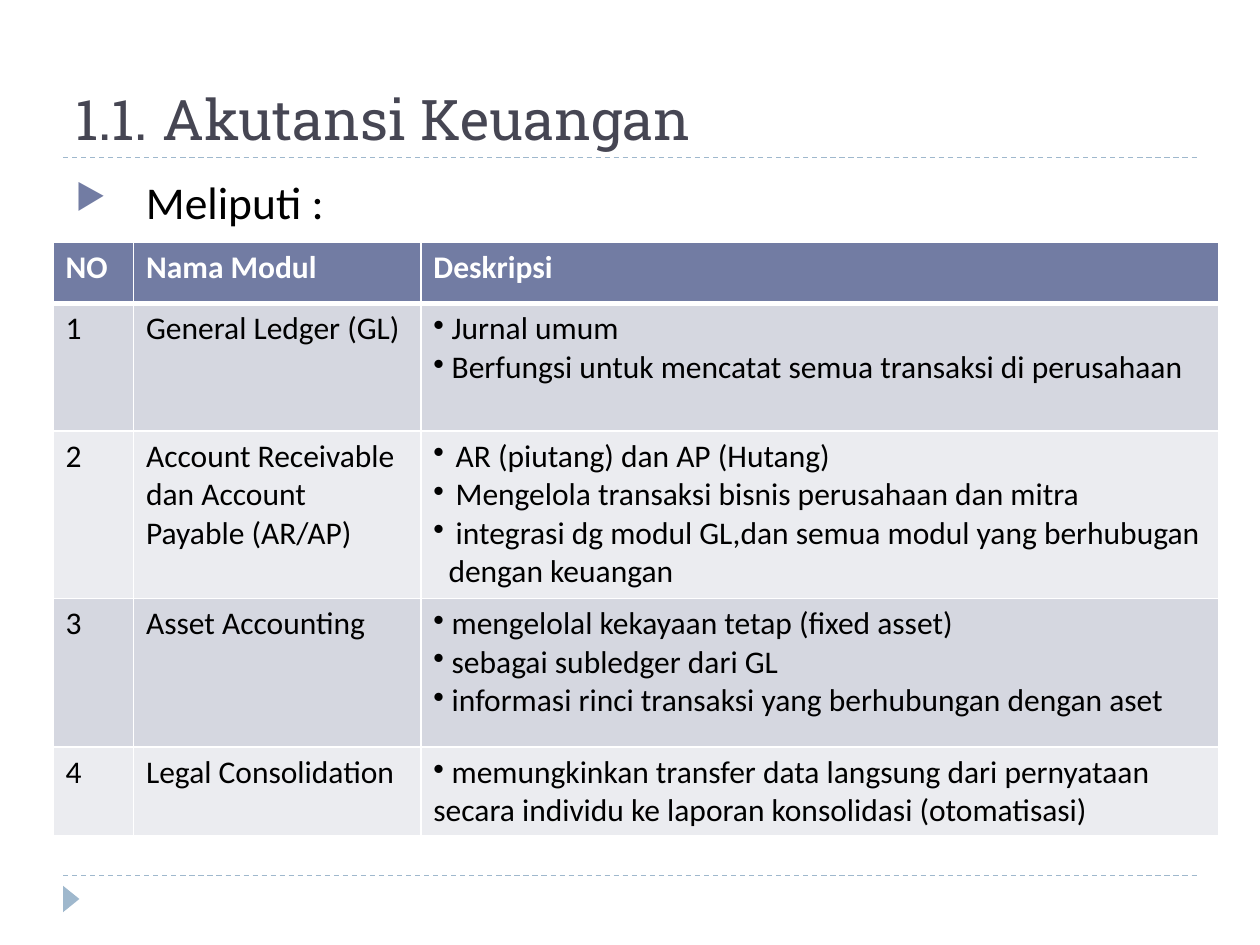
"""Build the slide that lists the modules of financial accounting."""
from dataclasses import dataclass

import lxml.etree
import pptx
import pptx.dml.color
import pptx.enum.dml
import pptx.enum.shapes
import pptx.enum.text
import pptx.oxml.ns
import pptx.util

Inches = pptx.util.Inches
Pt = pptx.util.Pt
RGBColor = pptx.dml.color.RGBColor
qn = pptx.oxml.ns.qn

BLACK = RGBColor(0x00, 0x00, 0x00)
WHITE = RGBColor(0xFF, 0xFF, 0xFF)
SLATE = RGBColor(0x46, 0x46, 0x53)
INDIGO = RGBColor(0x72, 0x7C, 0xA3)
SKY = RGBColor(0x9F, 0xB8, 0xCD)
BAND_FILLS = (RGBColor(0xD5, 0xD7, 0xE0), RGBColor(0xEB, 0xEC, 0xF0))

HEADINGS = ("NO", "Nama Modul", "Deskripsi")
COLUMN_WIDTHS = (0.64, 2.28, 6.33)
HEADING_HEIGHT = 0.49


@dataclass(frozen=True)
class Module:
    name: str
    points: tuple[str, ...]
    height: float
    hanging: float = 0


MODULES = (
    Module("General Ledger (GL)",
           (" Jurnal umum",
            " Berfungsi untuk mencatat semua transaksi di perusahaan"), 1.01),
    Module("Account Receivable dan Account Payable (AR/AP)",
           (" AR (piutang) dan AP (Hutang)",
            " Mengelola transaksi bisnis perusahaan dan mitra",
            " integrasi dg modul GL,dan semua modul yang berhubugan dengan keuangan"),
           1.33, hanging=0.12),
    Module("Asset Accounting",
           (" mengelolal kekayaan tetap (fixed asset)",
            " sebagai subledger dari GL",
            " informasi rinci transaksi yang berhubungan dengan aset"), 1.18),
    Module("Legal Consolidation",
           (" memungkinkan transfer data langsung dari pernyataan secara individu "
            "ke laporan konsolidasi (otomatisasi)",), 0.7),
)


def write(frame, *lines: str, size: float = 18, font: str = "Calibri",
          color: RGBColor = BLACK, bold: bool = False, bullet: str = "",
          bullet_color: RGBColor | None = None, bullet_percent: int = 100,
          hanging: float = 0, before: float = 0) -> None:
    """Fill a text frame with one formatted paragraph per line."""
    frame.word_wrap = True
    for index, line in enumerate(lines):
        paragraph = frame.add_paragraph() if index else frame.paragraphs[0]
        paragraph.space_before = Pt(before)
        run = paragraph.add_run()
        run.text = line
        run.font.size = Pt(size)
        run.font.name = font
        run.font.bold = bold
        run.font.color.rgb = color
        if bullet:
            properties = paragraph._p.get_or_add_pPr()
            properties.set("marL", str(Inches(hanging)))
            properties.set("indent", str(-Inches(hanging)))
            if bullet_color is not None:
                tint = lxml.etree.SubElement(properties, qn("a:buClr"))
                lxml.etree.SubElement(tint, qn("a:srgbClr"), val=str(bullet_color))
            lxml.etree.SubElement(properties, qn("a:buSzPct"), val=str(bullet_percent * 1000))
            lxml.etree.SubElement(properties, qn("a:buChar"), char=bullet)


def add_text(slide, top: float, height: float, line: str,
             anchor=pptx.enum.text.MSO_ANCHOR.TOP, **text_format) -> None:
    """Add a text box that spans the content width."""
    box = slide.shapes.add_textbox(Inches(0.5), Inches(top), Inches(9), Inches(height))
    box.text_frame.vertical_anchor = anchor
    write(box.text_frame, line, **text_format)


def add_rule(slide, top: float) -> None:
    """Draw a dashed rule across the content width."""
    rule = slide.shapes.add_connector(pptx.enum.shapes.MSO_CONNECTOR.STRAIGHT,
                                      Inches(0.5), Inches(top), Inches(9.5), Inches(top))
    rule.line.color.rgb = SKY
    rule.line.width = Pt(0.75)
    rule.line.dash_style = pptx.enum.dml.MSO_LINE.DASH
    lxml.etree.SubElement(rule._element.spPr, qn("a:effectLst"))


def add_corner_marker(slide) -> None:
    """Draw the small triangle at the foot of the slide."""
    marker = slide.shapes.add_shape(pptx.enum.shapes.MSO_SHAPE.ISOSCELES_TRIANGLE,
                                    Inches(0.46), Inches(7.07), Inches(0.21), Inches(0.13))
    marker.rotation = 90
    marker.shadow.inherit = False
    marker.fill.solid()
    marker.fill.fore_color.rgb = SKY
    marker.line.fill.background()


def style_cell(cell, fill: RGBColor, top: float = 1, bottom: float = 1) -> None:
    """Give a cell its fill and white borders."""
    cell.fill.solid()
    cell.fill.fore_color.rgb = fill
    properties = cell._tc.get_or_add_tcPr()
    borders = (("L", 1), ("R", 1), ("T", top), ("B", bottom))
    for position, (side, width) in enumerate(borders):
        border = lxml.etree.Element(qn(f"a:ln{side}"), w=str(Pt(width)))
        paint = lxml.etree.SubElement(border, qn("a:solidFill"))
        lxml.etree.SubElement(paint, qn("a:srgbClr"), val=str(WHITE))
        properties.insert(position, border)


def add_module_table(slide) -> None:
    """Add the table of modules with banded rows."""
    heights = (HEADING_HEIGHT, *(module.height for module in MODULES))
    table = slide.shapes.add_table(len(heights), len(COLUMN_WIDTHS), Inches(0.42), Inches(1.92),
                                   Inches(sum(COLUMN_WIDTHS)), Inches(sum(heights))).table
    for column, width in zip(table.columns, COLUMN_WIDTHS):
        column.width = Inches(width)
    for row, height in zip(table.rows, heights):
        row.height = Inches(height)
    for cell, heading in zip(table.rows[0].cells, HEADINGS):
        style_cell(cell, INDIGO, bottom=3)
        write(cell.text_frame, heading, color=WHITE, bold=True)
    for number, module in enumerate(MODULES, start=1):
        cells = tuple(table.rows[number].cells)
        for cell in cells:
            style_cell(cell, BAND_FILLS[(number - 1) % 2], top=3 if number == 1 else 1)
        number_cell, name_cell, description_cell = cells
        write(number_cell.text_frame, str(number))
        write(name_cell.text_frame, module.name)
        write(description_cell.text_frame, *module.points, bullet="•", hanging=module.hanging)


def main() -> None:
    """Assemble and save the presentation."""
    presentation = pptx.Presentation()
    presentation.slide_width = Inches(10)
    presentation.slide_height = Inches(7.5)
    slide = presentation.slides.add_slide(presentation.slide_layouts[6])
    for top in (6.95, 1.25):
        add_rule(slide, top)
    add_corner_marker(slide)
    add_text(slide, 0.17, 1.08, "1.1. Akutansi Keuangan", size=32, font="Roboto Slab",
             color=SLATE, anchor=pptx.enum.text.MSO_ANCHOR.BOTTOM)
    add_text(slide, 1.33, 5.4, "Meliputi :", size=26, bullet="▶", bullet_color=INDIGO,
             bullet_percent=76, hanging=0.56, before=6)
    add_module_table(slide)
    presentation.save("out.pptx")


if __name__ == "__main__":
    main()
